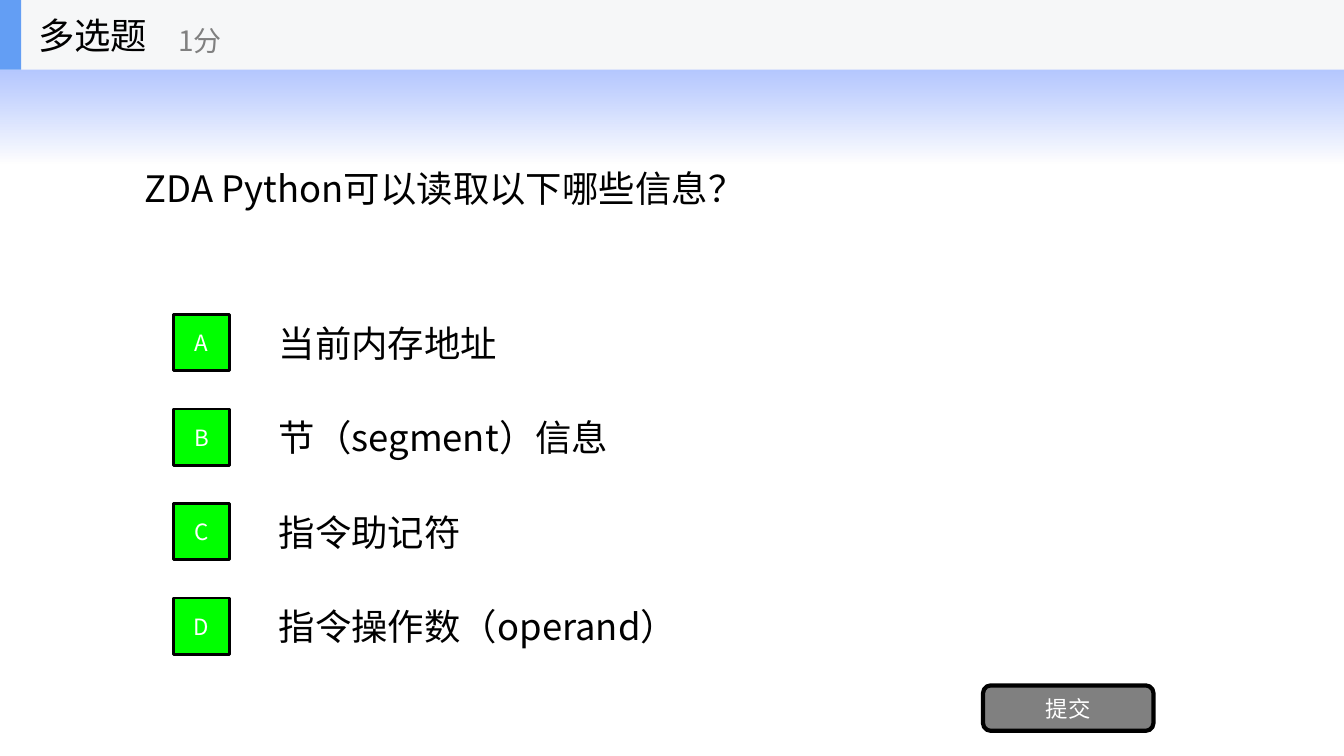
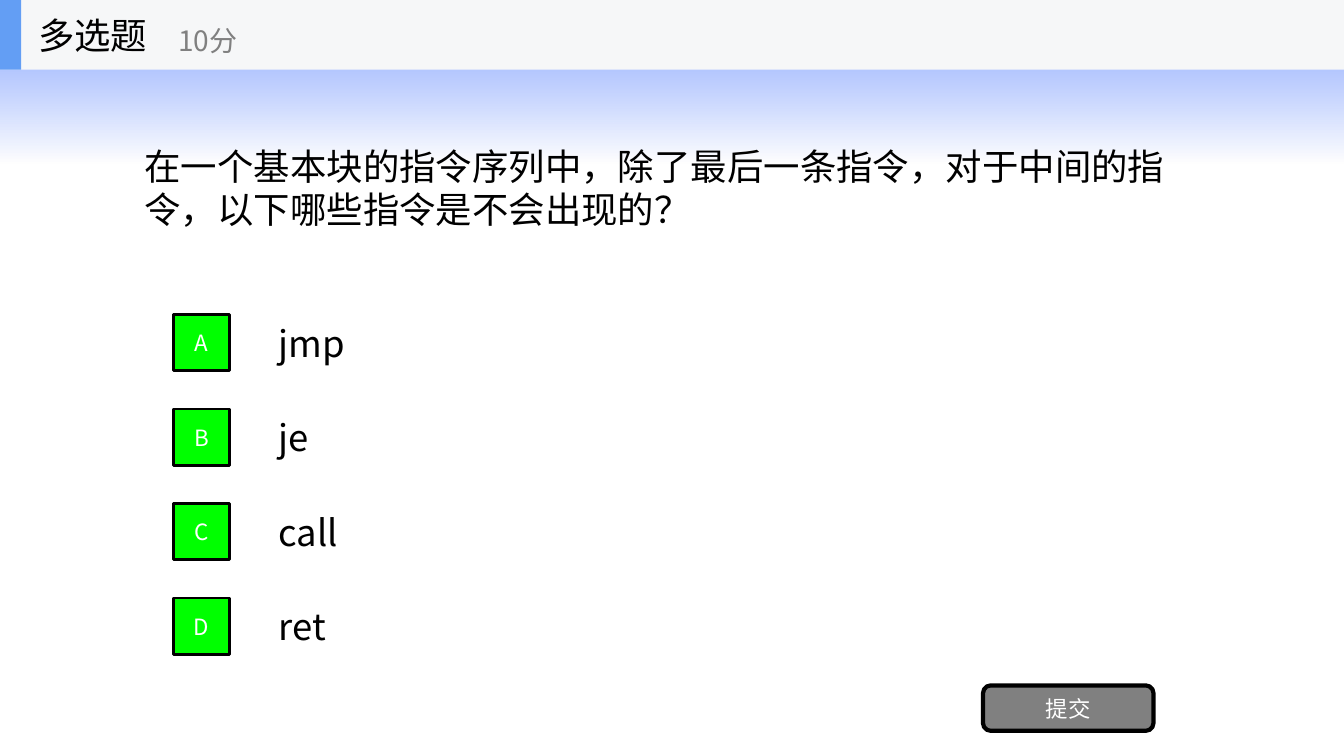
from lxml.etree import SubElement
from pptx import Presentation
from pptx.dml.color import RGBColor
from pptx.enum.shapes import MSO_SHAPE as Preset
from pptx.enum.text import MSO_ANCHOR as Anchor, MSO_AUTO_SIZE as AutoSize, PP_ALIGN as Align
from pptx.oxml.ns import qn
from pptx.util import Inches, Pt

# Content
KIND = "多选题"
SUBMIT = "提交"
QUESTIONS = [
    ("1分", "ZDA Python可以读取以下哪些信息？",
     ["当前内存地址", "节（segment）信息", "指令助记符", "指令操作数（operand）"]),
    ("10分", "在一个基本块的指令序列中，除了最后一条指令，对于中间的指令，以下哪些指令是不会出现的？",
     ["jmp", "je", "call", "ret"]),
]

# Shared style
FONT = "Noto Sans CJK SC"
COLOURS = {"text": "000000", "white": "FFFFFF", "muted": "808080", "badge": "00FF00",
           "header": "F6F7F8", "accent": "639EF4", "glow": "3366FF"}
LARGE, MEDIUM, SMALL = 26, 20, 16

# Layout grid
WIDTH, HEIGHT = 13.33, 7.5
HEADER_H, GLOW_H = 0.69, 1.62
QUESTION_BOX = (WIDTH * 0.1, HEADER_H, WIDTH * 0.8, 2.34)
OPTION_LEFT, OPTION_W, OPTION_H = WIDTH * 0.2, WIDTH * 0.7, 0.7
OPTION_TOP, OPTION_STEP = 3.05, HEIGHT / 8
BADGE_LEFT, BADGE = 1.72, 0.56
SUBMIT_BOX = (9.75, 6.8, 1.69, 0.45)


def rgb(name):
    return RGBColor.from_string(COLOURS[name])


def inches(box):
    return [Inches(length) for length in box]


def write(shape, text, size, colour="text", align=Align.LEFT):
    frame = shape.text_frame
    frame.text = text
    frame.word_wrap = True
    frame.auto_size = AutoSize.NONE
    frame.vertical_anchor = Anchor.MIDDLE
    paragraph = frame.paragraphs[0]
    paragraph.alignment = align
    for run in paragraph.runs:
        run.font.size = Pt(size)
        run.font.name = FONT
        run.font.color.rgb = rgb(colour)
        SubElement(run.font._element, qn("a:ea"), typeface=FONT)


def add_text(shapes, box, text, size, colour="text"):
    write(shapes.add_textbox(*inches(box)), text, size, colour)


def add_block(shapes, box, fill, preset=Preset.RECTANGLE, border=0, label=None):
    block = shapes.add_shape(preset, *inches(box))
    block.shadow.inherit = False
    block.fill.solid()
    block.fill.fore_color.rgb = rgb(fill)
    if border:
        block.line.color.rgb = rgb("text")
        block.line.width = Pt(border)
    else:
        block.line.fill.background()
    if label:
        write(block, label, SMALL, "white", Align.CENTER)
    return block


def add_glow(slide):
    """Fading band, kept on the layout that all slides share."""
    glow = add_block(slide.shapes, (0, 0, WIDTH, GLOW_H), "white")
    glow.fill.gradient()
    glow.fill.gradient_angle = 270
    for stop, position, colour in zip(glow.fill.gradient_stops, (0, 1), ("glow", "white")):
        stop.position = position
        stop.color.rgb = rgb(colour)
    for colour, opacity in zip(glow.element.iter(qn("a:srgbClr")), (60, 70)):
        SubElement(colour, qn("a:alpha"), val=str(opacity * 1000))
    slide.slide_layout.shapes.element.insert(2, glow.element)


def add_header(slide, points):
    header = slide.shapes.add_group_shape().shapes
    add_block(header, (0, 0, WIDTH, HEADER_H), "header")
    add_block(header, (0, 0, 0.21, HEADER_H), "accent")
    add_text(header, (0.28, 0, 2.08, HEADER_H), KIND, LARGE)
    add_text(header, (1.67, 0.12, 2.5, 0.56), points, MEDIUM, "muted")


def add_question(slide, points, question, options):
    title = slide.shapes.title
    title.left, title.top, title.width, title.height = inches(QUESTION_BOX)
    write(title, question, LARGE)

    # Options, each with its letter badge
    for row, (letter, option) in enumerate(zip("ABCD", options)):
        top = OPTION_TOP + row * OPTION_STEP
        add_text(slide.shapes, (OPTION_LEFT, top, OPTION_W, OPTION_H), option, LARGE)
        badge_top = top + (OPTION_H - BADGE) / 2
        add_block(slide.shapes, (BADGE_LEFT, badge_top, BADGE, BADGE), "badge",
                  border=2, label=letter)

    add_block(slide.shapes, SUBMIT_BOX, "muted", Preset.ROUNDED_RECTANGLE, 3, SUBMIT)
    add_header(slide, points)


def main():
    deck = Presentation()
    deck.slide_width, deck.slide_height = inches((WIDTH, HEIGHT))
    title_only = deck.slide_layouts[5]
    slides = [deck.slides.add_slide(title_only) for _ in QUESTIONS]
    add_glow(slides[0])
    for slide, content in zip(slides, QUESTIONS):
        add_question(slide, *content)
    deck.save("out.pptx")


if __name__ == "__main__":
    main()
